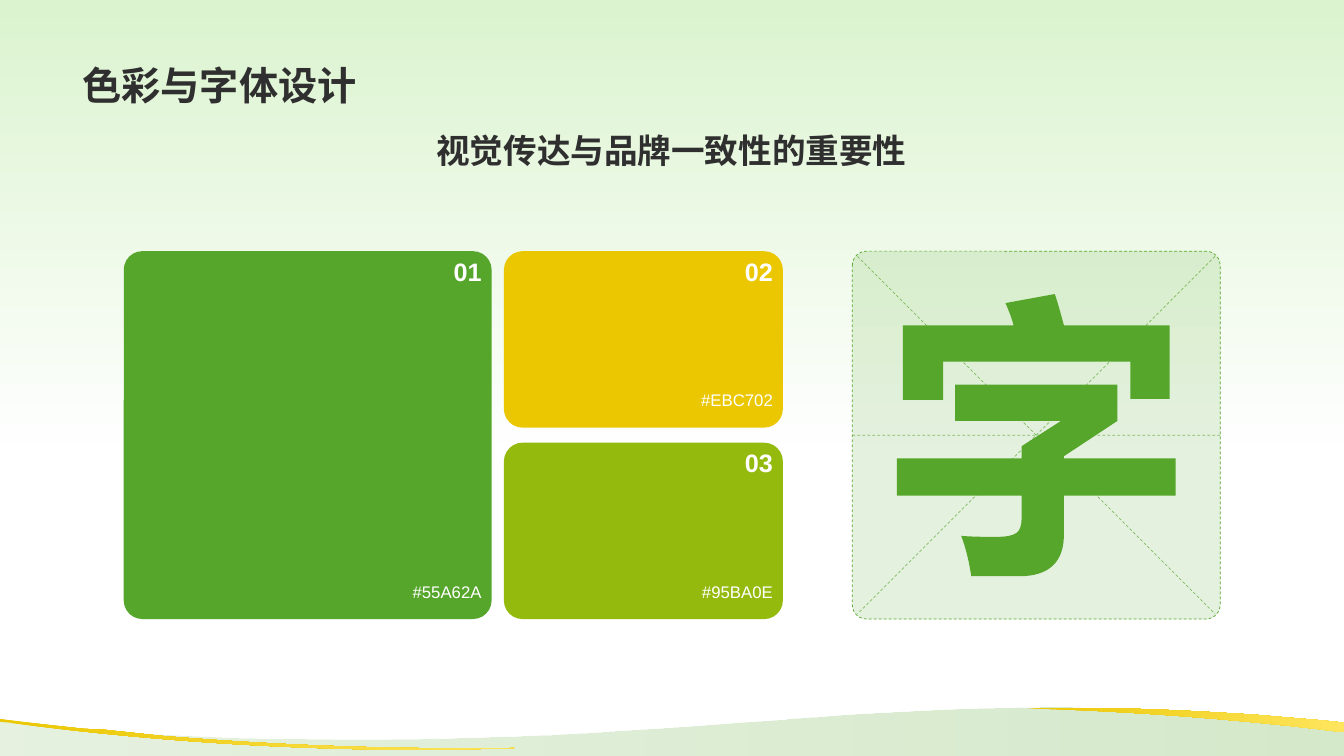
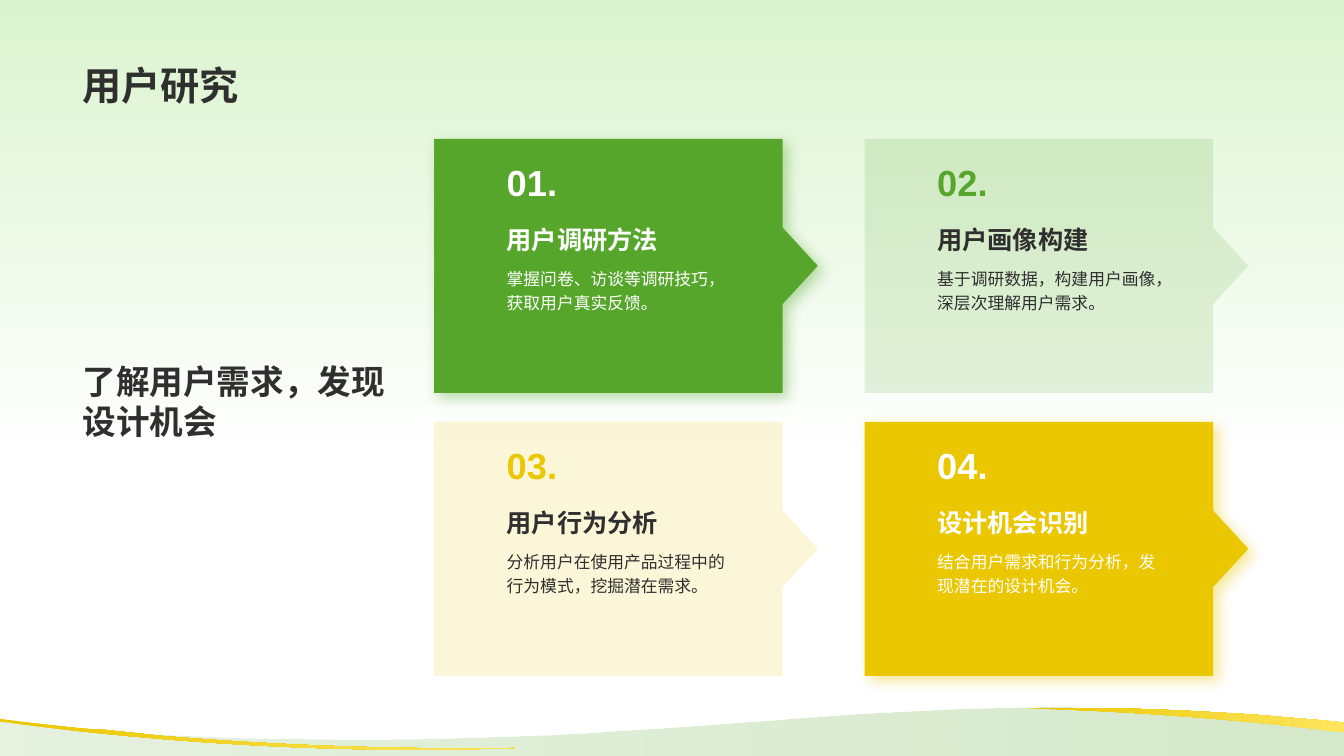
from dataclasses import dataclass

from lxml import etree
from pptx import Presentation
from pptx.dml.color import RGBColor
from pptx.enum.dml import MSO_LINE
from pptx.enum.shapes import MSO_CONNECTOR, MSO_SHAPE
from pptx.enum.text import MSO_ANCHOR, PP_ALIGN
from pptx.oxml.ns import qn
from pptx.util import Cm, Pt

ROUNDED = MSO_SHAPE.ROUNDED_RECTANGLE
STRAIGHT = MSO_CONNECTOR.STRAIGHT
DASH = MSO_LINE.DASH
TOP, MIDDLE, BOTTOM = MSO_ANCHOR.TOP, MSO_ANCHOR.MIDDLE, MSO_ANCHOR.BOTTOM
LEFT, CENTER, RIGHT = PP_ALIGN.LEFT, PP_ALIGN.CENTER, PP_ALIGN.RIGHT


@dataclass(frozen=True)
class Theme:
    font: str = "Arial"
    green: str = "55A62A"
    lime: str = "95BA0E"
    yellow: str = "EBC702"
    pale_yellow: str = "FEE55D"
    pale_green: str = "DBF3CF"
    white: str = "FFFFFF"
    ink: str = "2F2F2F"
    title: float = 28
    number: float = 25.9
    subtitle: float = 24
    heading: float = 18
    body: float = 12


T = Theme()
WIDTH, HEIGHT = 33.87, 19.05
MARGIN, CONTENT_W = 1.83, 30.18

WAVE_BOX, WAVE_GRID = (0, 17.83, WIDTH, 1.22), (1333, 48)
WAVE = [(1031, 0), (1114, 0, 1208, 3, 1314, 13), (1333, 15), (1333, 48), (0, 48),
        (0, 11), (6, 12), (61, 20, 309, 50, 734, 15), (809, 10, 907, 1, 1031, 0)]
RIBBONS = [
    [(0, 11), (6, 12), (20, 14, 46, 17, 83, 21), (104, 22), (160, 28),
     (245, 35, 363, 42, 511, 40), (296, 48, 99, 27, 10, 15), (0, 14)],
    [(1031, 0), (1052, 0, 1073, 0, 1095, 0), (1127, 1), (1137, 2),
     (1154, 2, 1172, 3, 1192, 4), (1243, 7), (1314, 13), (1333, 15), (1333, 18),
     (1333, 24), (1329, 24), (1273, 17, 1161, 5, 1027, 1), (1013, 0)],
]
GLYPH_GRID = (277, 280)
GLYPH = [
    [(58, 90), (219, 90), (219, 126), (166, 161), (166, 163), (277, 163),
     (277, 200), (166, 200), (166, 239), (166, 266, 151, 280, 122, 280),
     (74, 280), (72, 267, 69, 253, 64, 240), (76, 241, 88, 241, 99, 241),
     (108, 241, 115, 240, 119, 237), (122, 235, 124, 230, 124, 223),
     (124, 200), (0, 200), (0, 163), (124, 163), (124, 151), (163, 126), (58, 126)],
    [(157, 0), (160, 9, 163, 20, 166, 31), (271, 31), (271, 104), (232, 104),
     (232, 67), (46, 67), (46, 105), (6, 105), (6, 31), (116, 31),
     (114, 23, 111, 16, 108, 9)],
]
CARD_GRID = (381, 252)
CARD = [(0, 0), (346, 0), (346, 88), (381, 126), (346, 164), (346, 252), (0, 252)]


def rgb(color):
    return RGBColor.from_string(color)


def set_alpha(parent, *percents):
    for clr, percent in zip(parent.iter(qn("a:srgbClr")), percents):
        etree.SubElement(clr, qn("a:alpha"), val=str(percent * 1000))


def fill_solid(sp, color, alpha=None):
    sp.shadow.inherit = False
    sp.fill.solid()
    sp.fill.fore_color.rgb = rgb(color)
    if alpha:
        set_alpha(sp.element.spPr, alpha)
    sp.line.fill.background()


def fill_gradient(fill, first, last, angle, end=1.0):
    fill.gradient()
    fill.gradient_angle = angle
    for stop, color, position in zip(fill.gradient_stops, (first, last), (0, end)):
        stop.color.rgb = rgb(color)
        stop.position = position


def add_glow(sp, color):
    effects = sp.element.spPr.find(qn("a:effectLst"))
    shadow = etree.SubElement(
        effects, qn("a:outerShdw"), blurRad=str(Pt(10)), dist=str(Pt(5)),
        dir=str(45 * 60000), algn="tl", rotWithShape="0")
    etree.SubElement(shadow, qn("a:srgbClr"), val=color)
    set_alpha(shadow, 40)


def add_outline(s, box, grid, contours):
    x, y, w, h = box

    def place(part):
        return [(Cm(x + px * w / grid[0]), Cm(y + py * h / grid[1]))
                for px, py in zip(part[::2], part[1::2])]

    paths = [[place(part) for part in contour] for contour in contours]
    builder = s.shapes.build_freeform(*paths[0][0][-1])
    for i, path in enumerate(paths):
        if i:
            builder.move_to(*path[0][-1])
        builder.add_line_segments([part[-1] for part in path[1:]], close=True)
    sp = builder.convert_to_shape()
    parts = [part for path in paths for part in path[1:]]
    for segment, part in zip(list(sp.element.iter(qn("a:lnTo"))), parts):
        if len(part) == 3:
            curve = etree.Element(qn("a:cubicBezTo"))
            for px, py in part:
                etree.SubElement(curve, qn("a:pt"),
                                 x=str(px - sp.left), y=str(py - sp.top))
            segment.getparent().replace(segment, curve)
    return sp


def add_text(s, box, text, size, color, bold=True, align=LEFT, anchor=TOP, spacing=None):
    tf = s.shapes.add_textbox(*map(Cm, box)).text_frame
    tf.word_wrap = True
    tf.vertical_anchor = anchor
    p = tf.paragraphs[0]
    p.text = text
    p.alignment = align
    p.line_spacing = spacing
    p.font.name = T.font
    p.font.size = Pt(size)
    p.font.bold = bold
    p.font.color.rgb = rgb(color)


def add_rounded(s, box, radius, color, alpha=None):
    sp = s.shapes.add_shape(ROUNDED, *map(Cm, box))
    sp.adjustments[0] = radius / min(box[2:])
    fill_solid(sp, color, alpha)
    return sp


def style_dash(line, color):
    line.color.rgb = rgb(color)
    line.width = Pt(0.5)
    line.dash_style = DASH


def add_guide(s, x1, y1, x2, y2):
    line = s.shapes.add_connector(STRAIGHT, Cm(x1), Cm(y1), Cm(x2), Cm(y2))
    style_dash(line.line, T.green)
    set_alpha(line.element.spPr, 70)
    etree.SubElement(line.element.spPr, qn("a:effectLst"))
    return line


def add_base(prs, title):
    s = prs.slides.add_slide(prs.slide_layouts[6])
    fill_gradient(s.background.fill, T.pale_green, T.white, 270, 0.61)
    wave = add_outline(s, WAVE_BOX, WAVE_GRID, [WAVE])
    fill_solid(wave, T.green)
    fill_gradient(wave.fill, T.green, T.green, 0)
    set_alpha(wave.element.spPr, 15, 25)
    for contour in RIBBONS:
        ribbon = add_outline(s, WAVE_BOX, WAVE_GRID, [contour])
        fill_solid(ribbon, T.yellow)
        fill_gradient(ribbon.fill, T.yellow, T.pale_yellow, 0)
    add_text(s, (MARGIN, 0.36, CONTENT_W, 2.49), title, T.title, T.ink, anchor=BOTTOM)
    return s


def add_swatch(s, box, number, color):
    x, y, w, h = box
    add_rounded(s, box, 0.47, color)
    add_text(s, (x + w - 1.7, y, 1.7, 1.45), number, T.heading, T.white, align=RIGHT)
    add_text(s, (x + w - 3.4, y + h - 1.07, 3.4, 1.07), "#" + color,
             T.body, T.white, bold=False, align=RIGHT)


def add_palette(s, x, y, side):
    column_x, column_w, gap = x + side + 0.31, 7.03, 0.38
    small_h = (side - gap) / 2
    add_swatch(s, (x, y, side, side), "01", T.green)
    for i, (number, color) in enumerate((("02", T.yellow), ("03", T.lime))):
        add_swatch(s, (column_x, y + i * (small_h + gap), column_w, small_h), number, color)


def add_character(s, x, y, side):
    frame = add_rounded(s, (x, y, side, side), 0.36, T.green, 15)
    style_dash(frame.line, T.green)
    inset = 0.13
    left, right = x + inset, x + side - inset
    top, bottom = y + inset, y + side - inset
    add_guide(s, left, top, right, bottom)
    add_guide(s, right, top, left, bottom)
    middle = add_guide(s, x, y + side / 2, x + side, y + side / 2)
    middle.begin_connect(frame, 1)
    middle.end_connect(frame, 3)
    glyph = add_outline(s, (x + 1.12, y + 1.08, 7.03, 7.11), GLYPH_GRID, GLYPH)
    fill_solid(glyph, T.green)


def add_card(s, box, number, heading, body, color, strong):
    x, y = box[:2]
    sp = add_outline(s, box, CARD_GRID, [CARD])
    fill_solid(sp, color, None if strong else 15)
    if strong:
        add_glow(sp, color)
    ink = T.white if strong else T.ink
    left = x + 1.58
    add_text(s, (left, y + 0.51, 4.37, 1.24), number, T.number,
             T.white if strong else color, anchor=BOTTOM)
    add_text(s, (left, y + 1.8, 6.05, 1.24), heading, T.heading, ink, anchor=BOTTOM)
    add_text(s, (left, y + 3.04, 6.05, 2.9), body, T.body, ink, bold=False, spacing=1.2)


def build_color_slide(prs):
    s = add_base(prs, "色彩与字体设计")
    add_text(s, (MARGIN, 3.15, CONTENT_W, 1.27), "视觉传达与品牌一致性的重要性",
             T.subtitle, T.ink, align=CENTER)
    add_palette(s, 3.12, 6.33, 9.27)
    add_character(s, 21.48, 6.33, 9.27)


def build_research_slide(prs):
    s = add_base(prs, "用户研究")
    cards = [
        ("用户调研方法", "掌握问卷、访谈等调研技巧，获取用户真实反馈。", T.green, True),
        ("用户画像构建", "基于调研数据，构建用户画像，深层次理解用户需求。", T.green, False),
        ("用户行为分析", "分析用户在使用产品过程中的行为模式，挖掘潜在需求。", T.yellow, False),
        ("设计机会识别", "结合用户需求和行为分析，发现潜在的设计机会。", T.yellow, True),
    ]
    for i, card in enumerate(cards):
        row, column = divmod(i, 2)
        box = (10.94 + column * 10.85, 3.5 + row * 7.13, 9.67, 6.4)
        add_card(s, box, f"{i + 1:02d}.", *card)
    add_text(s, (MARGIN, 5.67, 8.59, 8.86), "了解用户需求，发现设计机会",
             T.subtitle, T.ink, anchor=MIDDLE)


def main():
    prs = Presentation()
    prs.slide_width, prs.slide_height = Cm(WIDTH), Cm(HEIGHT)
    build_color_slide(prs)
    build_research_slide(prs)
    prs.save("out.pptx")


if __name__ == "__main__":
    main()
